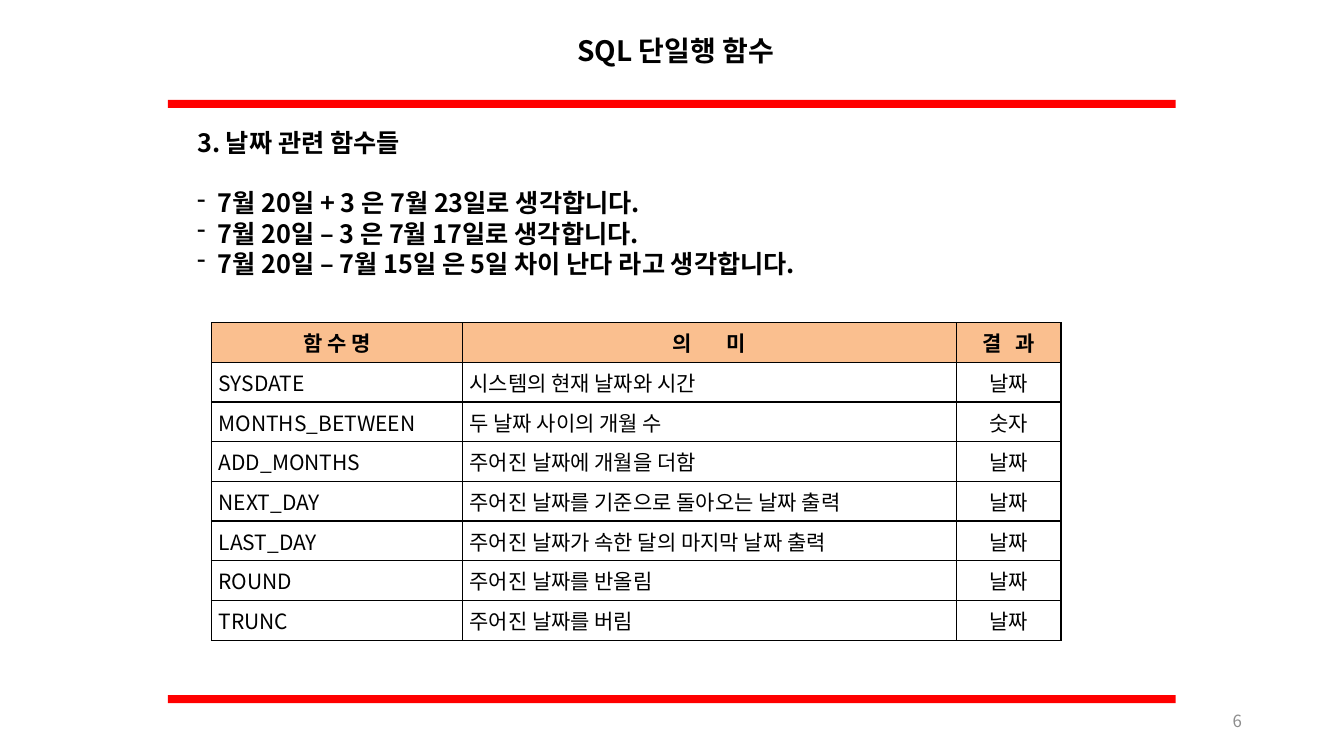
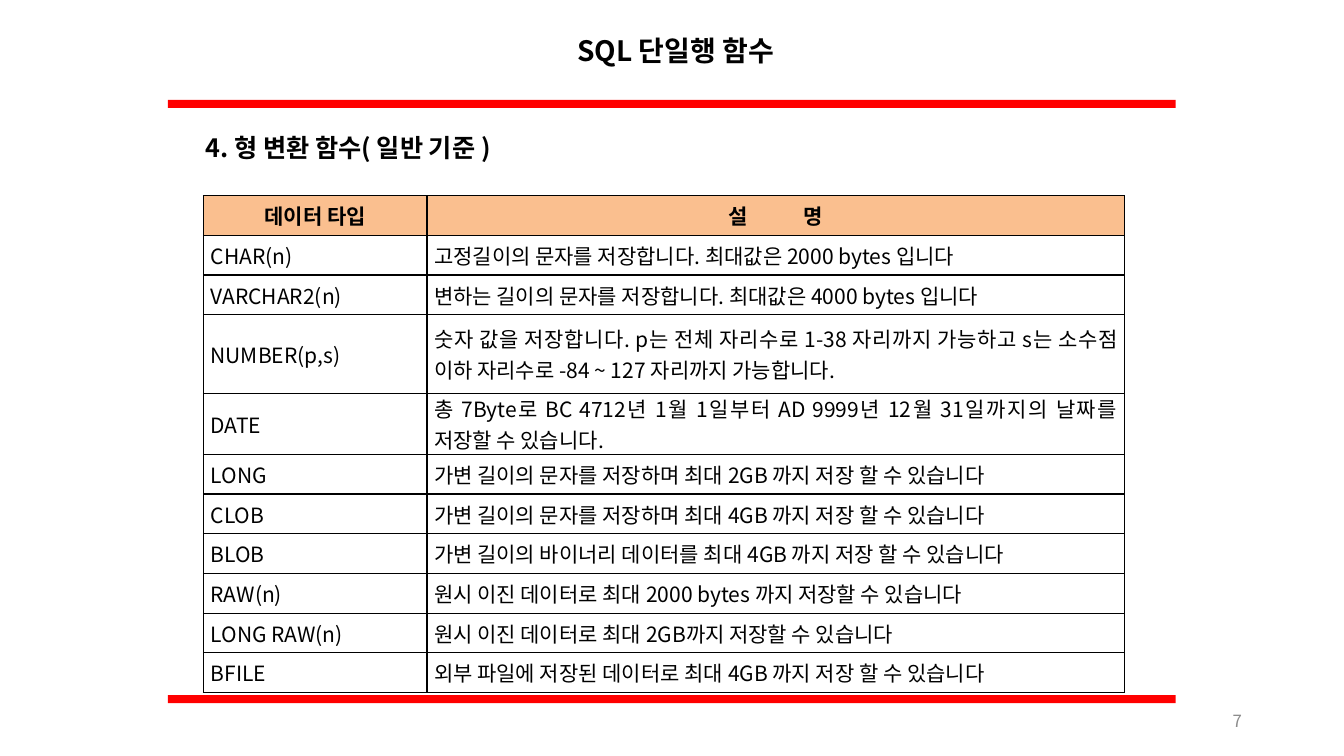
from dataclasses import dataclass

from pptx import Presentation
from pptx.dml.color import RGBColor
from pptx.enum import shapes, text
from pptx.oxml import ns, xmlchemy
from pptx.util import Cm, Pt


@dataclass(frozen=True)
class Theme:
    font: str = "Noto Sans CJK KR"
    ink: str = "000000"
    bar: str = "FF0000"
    header: str = "FABF8F"
    muted: str = "8C8C8C"
    title: int = 20
    body: int = 18
    table: int = 15
    footer: int = 12


THEME = Theme()
CENTER, JUSTIFY = text.PP_ALIGN.CENTER, text.PP_ALIGN.JUSTIFY
LEFT, RIGHT = text.PP_ALIGN.LEFT, text.PP_ALIGN.RIGHT
LINE_PITCH = Pt(21.5)

TITLE = "SQL 단일행 함수"
FIRST_NUMBER = 6

# Boxes are (left, top, width, height) in centimetres.
TITLE_BOX = (8.53, 0, 17, 2.52)
NUMBER_BOX = (23.93, 17.65, 7.62, 1.02)
BARS = [(4.23, 2.52, 25.4, 0.2), (4.23, 17.52, 25.4, 0.2)]

# "spread" is the letter spacing of each header cell in points.
PAGES = [
    {
        "heading": "3. 날짜 관련 함수들",
        "points": [
            "7월 20일 + 3 은 7월 23일로 생각합니다.",
            "7월 20일 – 3 은 7월 17일로 생각합니다.",
            "7월 20일 – 7월 15일 은 5일 차이 난다 라고 생각합니다.",
        ],
        "box": (4.72, 1.52, 24.41, 7.19),
        "table_at": (5.33, 8.13),
        "columns": [6.32, 12.45, 2.64],
        "aligns": [JUSTIFY, JUSTIFY, CENTER],
        "spread": [0, 10.5, 3],
        "tall_rows": {},
        "rows": [
            ("함 수 명", "의 미", "결 과"),
            ("SYSDATE", "시스템의 현재 날짜와 시간", "날짜"),
            ("MONTHS_BETWEEN", "두 날짜 사이의 개월 수", "숫자"),
            ("ADD_MONTHS", "주어진 날짜에 개월을 더함", "날짜"),
            ("NEXT_DAY", "주어진 날짜를 기준으로 돌아오는 날짜 출력", "날짜"),
            ("LAST_DAY", "주어진 날짜가 속한 달의 마지막 날짜 출력", "날짜"),
            ("ROUND", "주어진 날짜를 반올림", "날짜"),
            ("TRUNC", "주어진 날짜를 버림", "날짜"),
        ],
    },
    {
        "heading": "4. 형 변환 함수( 일반 기준 )",
        "points": [],
        "box": (4.93, 2.72, 19.81, 2.01),
        "table_at": (5.13, 4.93),
        "columns": [5.63, 17.58],
        "aligns": [JUSTIFY, JUSTIFY],
        "spread": [0, 18],
        "tall_rows": {3: 1.98, 4: 1.54},
        "rows": [
            ("데이터 타입", "설 명"),
            ("CHAR(n)", "고정길이의 문자를 저장합니다. 최대값은 2000 bytes 입니다"),
            ("VARCHAR2(n)", "변하는 길이의 문자를 저장합니다. 최대값은 4000 bytes 입니다"),
            ("NUMBER(p,s)", "숫자 값을 저장합니다. p는 전체 자리수로 1-38 자리까지 가능하고 "
                            "s는 소수점 이하 자리수로 -84 ~ 127 자리까지 가능합니다."),
            ("DATE", "총 7Byte로 BC 4712년 1월 1일부터 AD 9999년 12월 31일까지의 "
                     "날짜를 저장할 수 있습니다."),
            ("LONG", "가변 길이의 문자를 저장하며 최대 2GB 까지 저장 할 수 있습니다"),
            ("CLOB", "가변 길이의 문자를 저장하며 최대 4GB 까지 저장 할 수 있습니다"),
            ("BLOB", "가변 길이의 바이너리 데이터를 최대 4GB 까지 저장 할 수 있습니다"),
            ("RAW(n)", "원시 이진 데이터로 최대 2000 bytes 까지 저장할 수 있습니다"),
            ("LONG RAW(n)", "원시 이진 데이터로 최대 2GB까지 저장할 수 있습니다"),
            ("BFILE", "외부 파일에 저장된 데이터로 최대 4GB 까지 저장 할 수 있습니다"),
        ],
    },
]
ROW_HEIGHT = 1.0


def rgb(color):
    return RGBColor.from_string(color)


def add_child(parent, tag, **attributes):
    child = xmlchemy.OxmlElement(tag)
    for name, value in attributes.items():
        child.set(name, str(value))
    parent.append(child)
    return child


def style(paragraph, size, bold=False, color=THEME.ink, align=LEFT, spread=0):
    paragraph.alignment = align
    font = paragraph.font
    font.name, font.size, font.bold = THEME.font, Pt(size), bold
    font.color.rgb = rgb(color)
    properties = paragraph._p.pPr.find(ns.qn("a:defRPr"))
    add_child(properties, "a:ea", typeface=THEME.font)
    if spread:
        properties.set("spc", str(int(spread * 100)))


def add_text(slide, box, lines, size, **look):
    shape = slide.shapes.add_textbox(*map(Cm, box))
    frame = shape.text_frame
    frame.word_wrap = True
    frame.vertical_anchor = text.MSO_ANCHOR.MIDDLE
    frame.text = "\n".join(lines)
    for paragraph in frame.paragraphs:
        style(paragraph, size, **look)
    return frame.paragraphs


def add_dash(paragraph):
    """Turn the paragraph into a dash bullet with a hanging indent."""
    properties = paragraph._p.pPr
    properties.set("marL", str(Cm(0.52)))
    properties.set("indent", str(-Cm(0.52)))
    dash = add_child(properties, "a:buChar", char="-")
    properties.find(ns.qn("a:defRPr")).addprevious(dash)


def add_body(slide, page):
    lines = [page["heading"], *page["points"]]
    paragraphs = add_text(slide, page["box"], lines, THEME.body, bold=True)
    if not page["points"]:
        return
    for paragraph in paragraphs:
        paragraph.line_spacing = LINE_PITCH
    for paragraph in paragraphs[1:]:
        add_dash(paragraph)
    paragraphs[1].space_before = LINE_PITCH


def add_borders(cell):
    properties = cell._tc.get_or_add_tcPr()
    for side in ("a:lnL", "a:lnR", "a:lnT", "a:lnB"):
        line = add_child(properties, side, w=Pt(1))
        add_child(add_child(line, "a:solidFill"), "a:srgbClr", val=THEME.ink)


def fill_cell(cell, words, is_header, align, spread):
    cell.text = words
    cell.vertical_anchor = text.MSO_ANCHOR.MIDDLE
    cell.margin_left = cell.margin_right = Cm(0.18)
    cell.margin_top = cell.margin_bottom = 0
    add_borders(cell)
    if is_header:
        cell.fill.solid()
        cell.fill.fore_color.rgb = rgb(THEME.header)
    else:
        cell.fill.background()
    style(cell.text_frame.paragraphs[0], THEME.table, bold=is_header,
          align=CENTER if is_header else align, spread=spread if is_header else 0)


def add_page_table(slide, page):
    rows, columns = page["rows"], page["columns"]
    heights = [page["tall_rows"].get(i, ROW_HEIGHT) for i in range(len(rows))]
    box = (*page["table_at"], sum(columns), sum(heights))
    table = slide.shapes.add_table(len(rows), len(columns), *map(Cm, box)).table
    table.horz_banding = False
    for column, width in zip(table.columns, columns):
        column.width = Cm(width)
    for i, (row, height) in enumerate(zip(table.rows, heights)):
        row.height = Cm(height)
        for cell, words, align, spread in zip(row.cells, rows[i], page["aligns"], page["spread"]):
            fill_cell(cell, words, i == 0, align, spread)


def add_frame(slide, number):
    """Add the title, red bars and page number that every slide has."""
    for box in BARS:
        bar = slide.shapes.add_shape(shapes.MSO_SHAPE.RECTANGLE, *map(Cm, box))
        bar.shadow.inherit = False
        bar.fill.solid()
        bar.fill.fore_color.rgb = rgb(THEME.bar)
        bar.line.fill.background()
    add_text(slide, TITLE_BOX, [TITLE], THEME.title, bold=True, align=CENTER)
    add_text(slide, NUMBER_BOX, [str(number)], THEME.footer, color=THEME.muted, align=RIGHT)


def main():
    presentation = Presentation()
    presentation.slide_width, presentation.slide_height = Cm(33.87), Cm(19.05)
    for number, page in enumerate(PAGES, FIRST_NUMBER):
        slide = presentation.slides.add_slide(presentation.slide_layouts[6])
        add_frame(slide, number)
        add_body(slide, page)
        add_page_table(slide, page)
    presentation.save("out.pptx")


if __name__ == "__main__":
    main()
